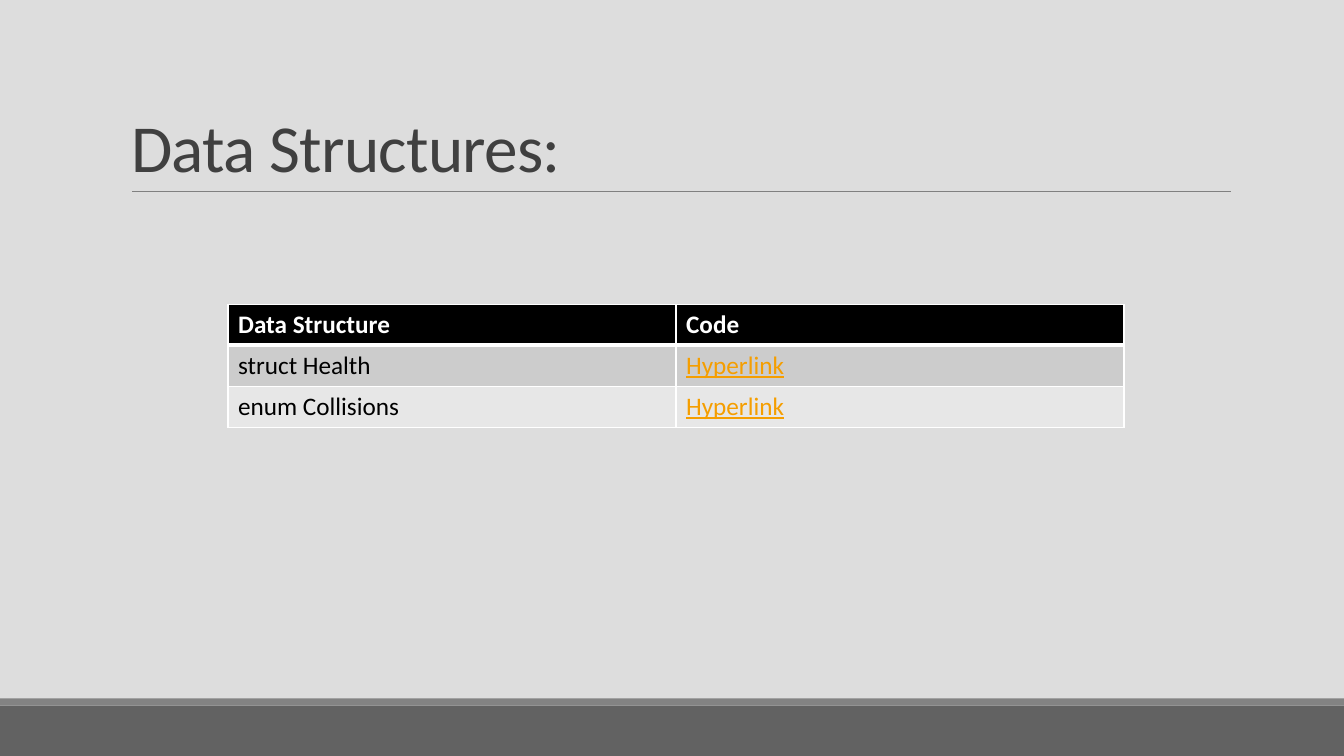
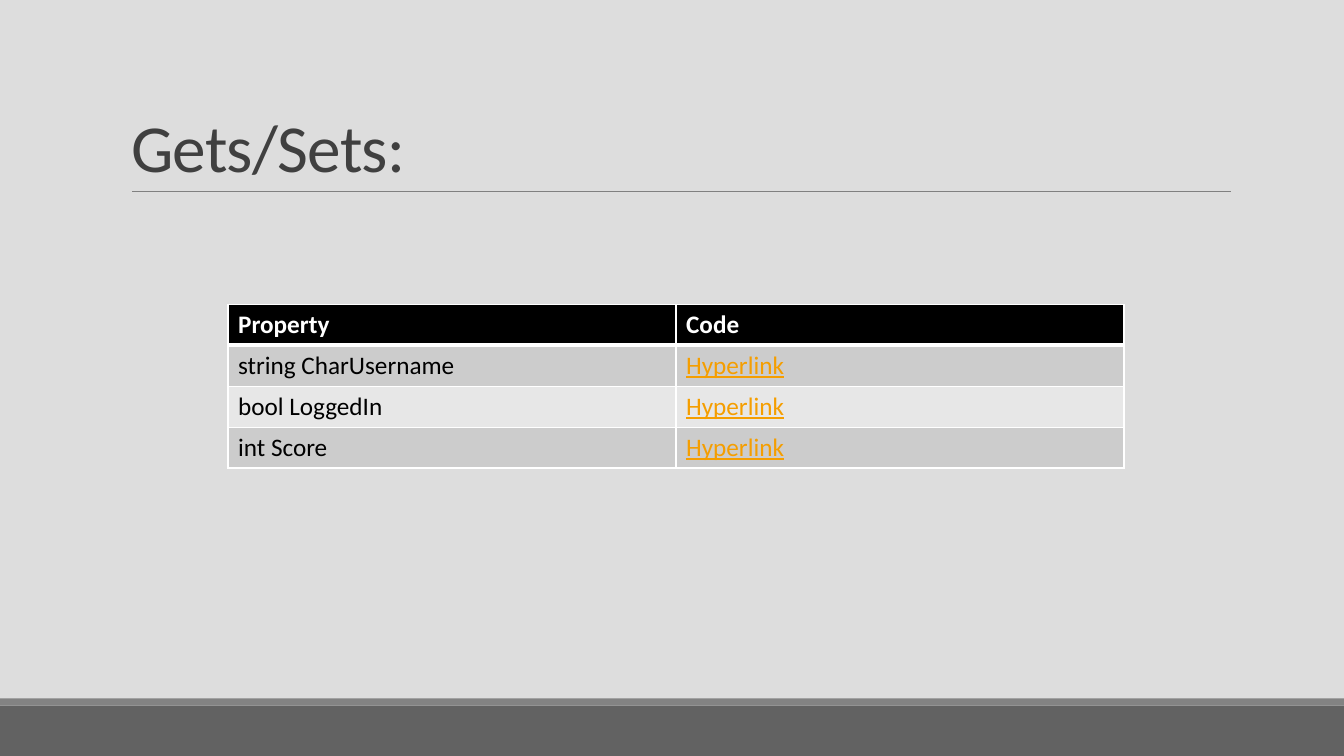
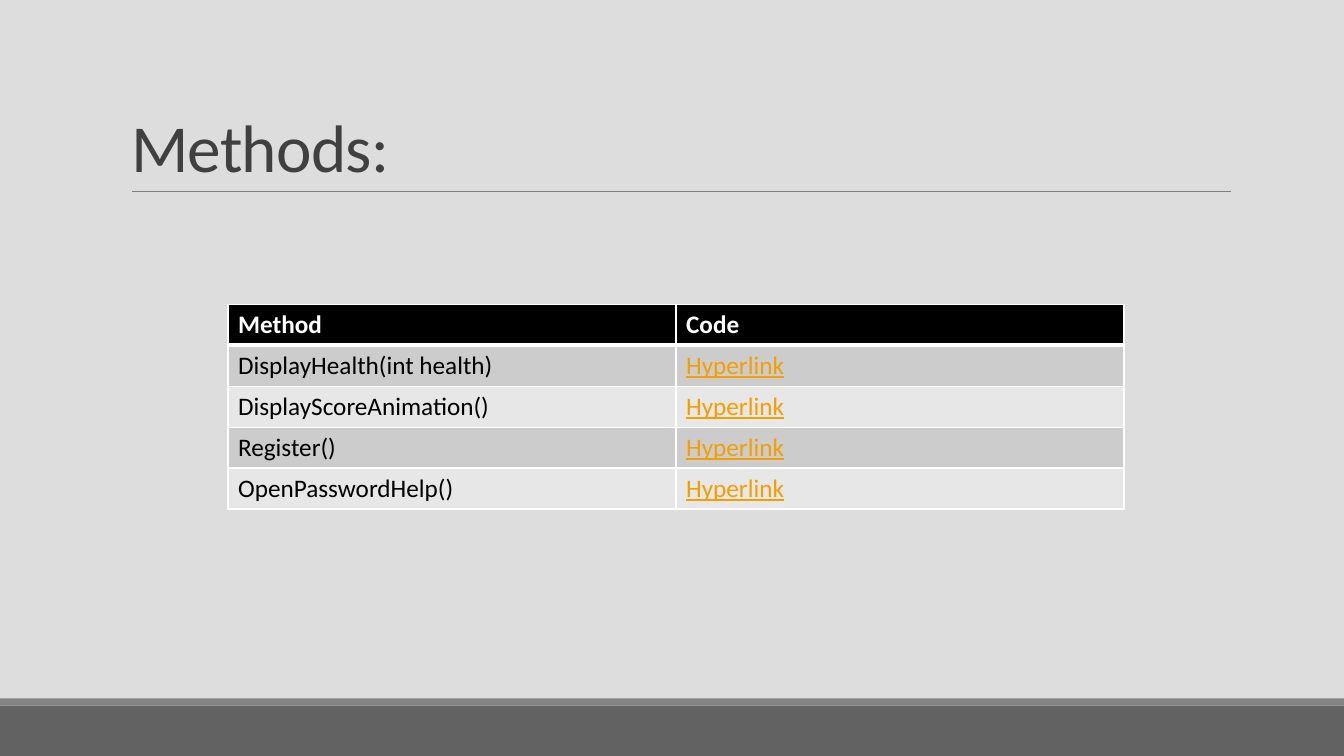
"""Build three slides that list code elements in tables under a shared title style."""
from dataclasses import dataclass

import pptx
import pptx.dml.color
import pptx.enum.shapes
import pptx.enum.text
import pptx.oxml
import pptx.oxml.ns
import pptx.presentation
import pptx.slide
import pptx.table
import pptx.text.text
import pptx.util

WIDTH = pptx.util.Inches(13.33)
HEIGHT = pptx.util.Inches(7.5)
COLUMNS, ROWS = 120, 75
FONT = "Calibri"
BACKGROUND, RULE, HEADING = "DDDDDD", "808080", "404040"
HEADER_FILL, ROW_FILLS = "000000", ("CCCCCC", "E7E7E7")
WHITE, BLACK, LINK = "FFFFFF", "000000", "F59E00"
THIN, THICK = 1, 3
TABLE_LEFT, TABLE_TOP, TABLE_COLUMN, TABLE_ROW = 20.36, 30.2, 40, 4.06


@dataclass(frozen=True)
class Band:
    top: float
    height: float
    color: str


@dataclass(frozen=True)
class Topic:
    title: str
    kind: str
    entries: tuple[str, ...]


BANDS = (Band(70, 5, "626262"), Band(69.3, 0.7, "838383"))
TOPICS = (
    Topic("Data Structures:", "Data Structure", ("struct Health", "enum Collisions")),
    Topic("Gets/Sets:", "Property", ("string CharUsername", "bool LoggedIn", "int Score")),
    Topic(
        "Methods:",
        "Method",
        ("DisplayHealth(int health)", "DisplayScoreAnimation()", "Register()", "OpenPasswordHelp()"),
    ),
)


def across(columns: float) -> int:
    """Convert grid columns to a length."""
    return round(WIDTH * columns / COLUMNS)


def down(rows: float) -> int:
    """Convert grid rows to a length."""
    return round(HEIGHT * rows / ROWS)


def rgb(color: str) -> pptx.dml.color.RGBColor:
    """Turn a hex string into a colour."""
    return pptx.dml.color.RGBColor.from_string(color)


def add_run(
    paragraph: pptx.text.text._Paragraph,
    text: str,
    size: float,
    color: str,
    bold: bool = False,
    underline: bool = False,
) -> pptx.text.text._Run:
    """Add a formatted run to a paragraph."""
    run = paragraph.add_run()
    run.text = text
    run.font.name = FONT
    run.font.size = pptx.util.Pt(size)
    run.font.color.rgb = rgb(color)
    run.font.bold = bold
    run.font.underline = underline
    return run


def prepare_layout(deck: pptx.presentation.Presentation) -> pptx.slide.SlideLayout:
    """Set the shared background and the place of the title."""
    background = deck.slide_master.background.fill
    background.solid()
    background.fore_color.rgb = rgb(BACKGROUND)
    layout = deck.slide_layouts.get_by_name("Title Only")
    heading = layout.placeholders[0]
    heading.left, heading.top = across(10.8), down(3.1)
    heading.width, heading.height = across(99), down(15.9)
    return layout


def draw_frame(slide: pptx.slide.Slide) -> None:
    """Draw the bottom bands and the rule below the title."""
    for band in BANDS:
        strip = slide.shapes.add_shape(
            pptx.enum.shapes.MSO_SHAPE.RECTANGLE, 0, down(band.top), WIDTH, down(band.height)
        )
        strip.shadow.inherit = False
        strip.fill.solid()
        strip.fill.fore_color.rgb = rgb(band.color)
        strip.line.fill.background()
    rule = slide.shapes.add_connector(
        pptx.enum.shapes.MSO_CONNECTOR.STRAIGHT, across(11.8), down(19), across(109.9), down(19)
    )
    rule.line.color.rgb = rgb(RULE)
    rule.line.width = pptx.util.Pt(0.5)
    properties = rule.element.find(pptx.oxml.ns.qn("p:spPr"))
    properties.append(pptx.oxml.parse_xml(f"<a:effectLst {pptx.oxml.ns.nsdecls('a')}/>"))


def write_title(slide: pptx.slide.Slide, text: str) -> None:
    """Write the title at the bottom left of its placeholder."""
    frame = slide.shapes.title.text_frame
    frame.word_wrap = True
    frame.auto_size = pptx.enum.text.MSO_AUTO_SIZE.NONE
    frame.vertical_anchor = pptx.enum.text.MSO_ANCHOR.BOTTOM
    paragraph = frame.paragraphs[0]
    paragraph.alignment = pptx.enum.text.PP_ALIGN.LEFT
    paragraph.line_spacing = 0.85
    run = add_run(paragraph, text, 48, HEADING)
    run.font.fill.solid()
    run.font.color.rgb = rgb(HEADING)
    run.font.element.set("spc", "-50") if hasattr(run.font, "element") else run._r.get_or_add_rPr().set("spc", "-50")


def set_borders(cell: pptx.table._Cell, top: float, bottom: float) -> None:
    """Give a cell white borders."""
    properties = cell._tc.get_or_add_tcPr()
    widths = {"lnL": THIN, "lnR": THIN, "lnT": top, "lnB": bottom}
    for position, (side, width) in enumerate(widths.items()):
        border = pptx.oxml.parse_xml(
            f'<a:{side} {pptx.oxml.ns.nsdecls("a")} w="{pptx.util.Pt(width)}">'
            f'<a:solidFill><a:srgbClr val="{WHITE}"/></a:solidFill></a:{side}>'
        )
        properties.insert(position, border)


def draw_table(slide: pptx.slide.Slide, topic: Topic) -> None:
    """Draw the table of a topic's entries and their code."""
    lines = [(topic.kind, "Code"), *((entry, "Hyperlink") for entry in topic.entries)]
    table = slide.shapes.add_table(
        len(lines),
        2,
        across(TABLE_LEFT),
        down(TABLE_TOP),
        across(2 * TABLE_COLUMN),
        down(TABLE_ROW * len(lines)),
    ).table
    for row, line in enumerate(lines):
        header = row == 0
        fill = HEADER_FILL if header else ROW_FILLS[(row - 1) % 2]
        for column, text in enumerate(line):
            cell = table.cell(row, column)
            cell.fill.solid()
            cell.fill.fore_color.rgb = rgb(fill)
            set_borders(cell, THICK if row == 1 else THIN, THICK if header else THIN)
            linked = column == 1 and not header
            color = WHITE if header else LINK if linked else BLACK
            add_run(cell.text_frame.paragraphs[0], text, 18, color, header, linked)


def main() -> None:
    """Build and save the slides."""
    deck = pptx.Presentation()
    deck.slide_width, deck.slide_height = WIDTH, HEIGHT
    layout = prepare_layout(deck)
    for topic in TOPICS:
        slide = deck.slides.add_slide(layout)
        draw_frame(slide)
        write_title(slide, topic.title)
        draw_table(slide, topic)
    deck.save("out.pptx")


if __name__ == "__main__":
    main()
